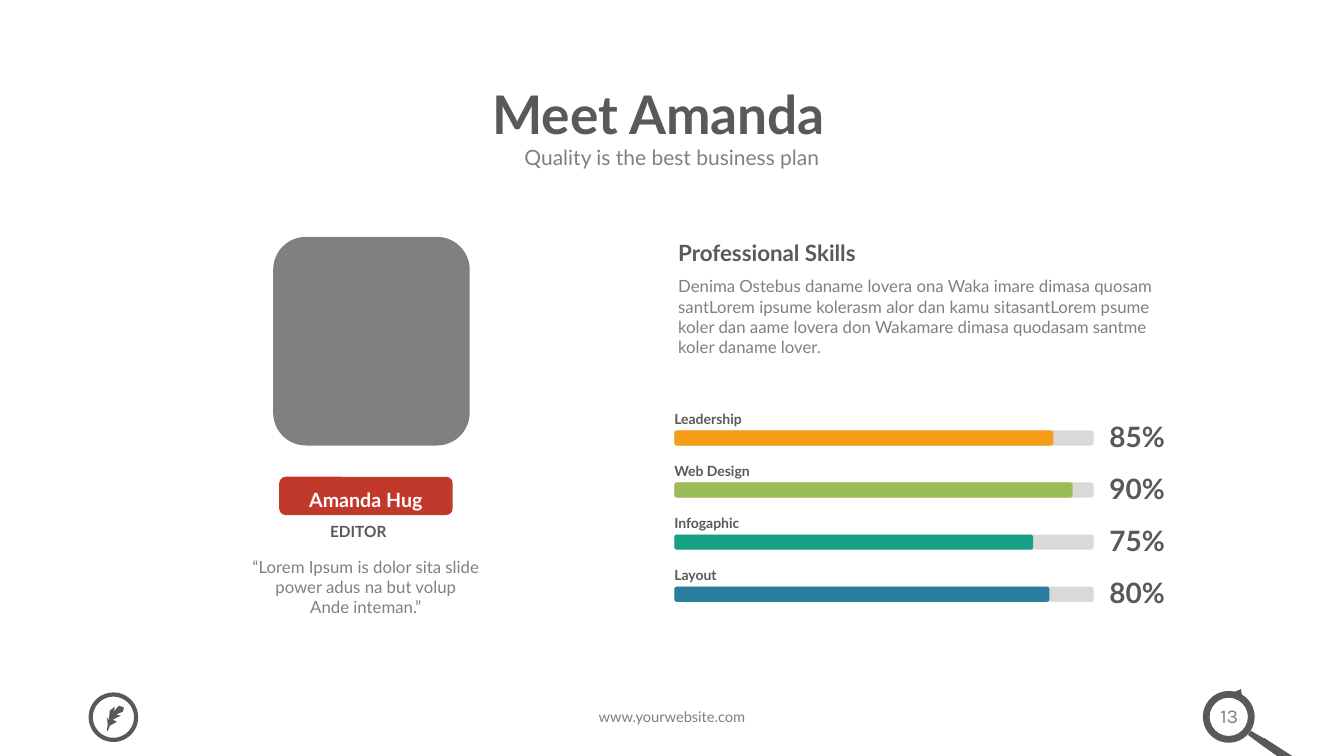
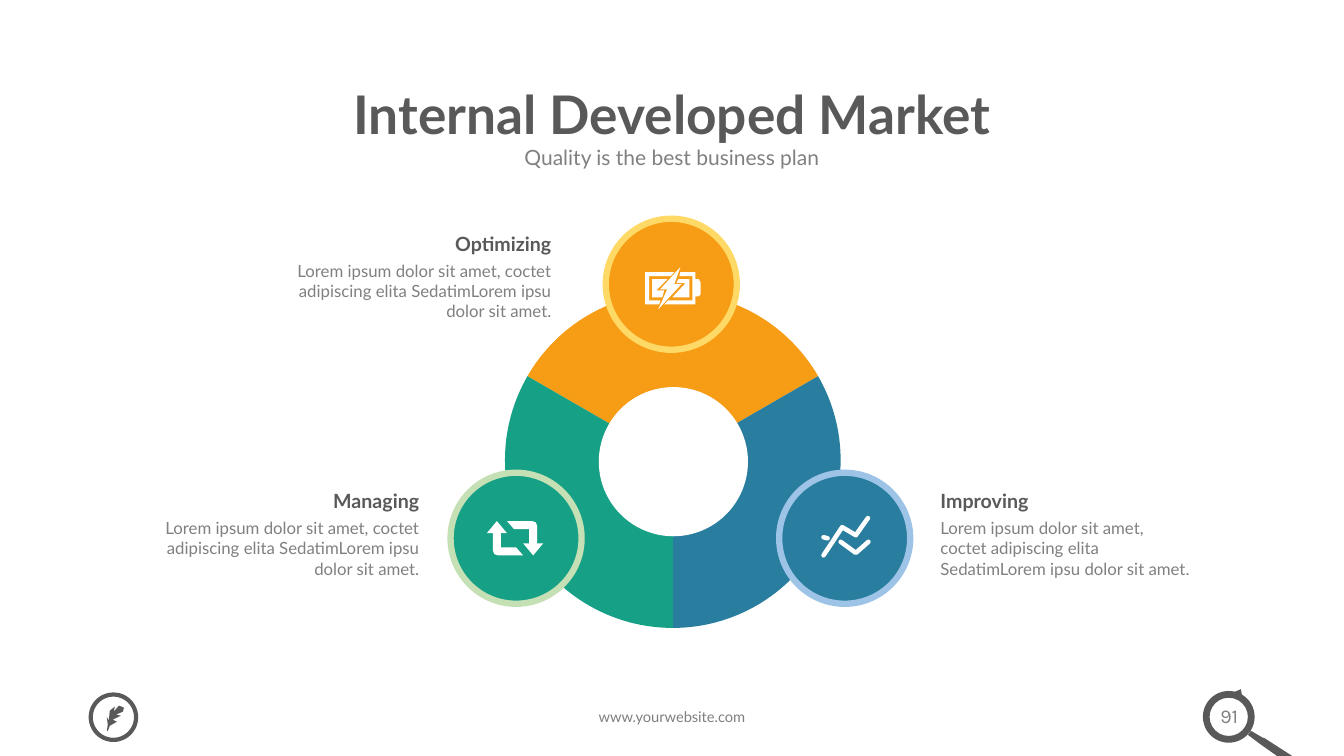
from pptx import Presentation
from pptx.dml.color import RGBColor
from pptx.enum.shapes import MSO_SHAPE as Preset
from pptx.enum.text import MSO_ANCHOR as Anchor, PP_ALIGN as Align
from pptx.util import Emu, Inches, Pt

COLUMNS, ROWS = 80, 45
SLIDE_WIDTH, SLIDE_HEIGHT = Inches(13.333), Inches(7.5)
CELL = SLIDE_HEIGHT / ROWS

DARK = RGBColor(0x59, 0x59, 0x59)
GRAY = RGBColor(0x80, 0x80, 0x80)
TRACK = RGBColor(0xD9, 0xD9, 0xD9)
WHITE = RGBColor(0xFF, 0xFF, 0xFF)
RED = RGBColor(0xC1, 0x39, 0x2B)
ORANGE = RGBColor(0xF6, 0x9C, 0x15)
LIME = RGBColor(0x9C, 0xBC, 0x58)
TEAL = RGBColor(0x16, 0xA0, 0x86)
BLUE = RGBColor(0x29, 0x7E, 0x9F)
PALE_YELLOW = RGBColor(0xFF, 0xD9, 0x66)
PALE_BLUE = RGBColor(0x9D, 0xC3, 0xE6)
PALE_GREEN = RGBColor(0xC5, 0xE0, 0xB4)

BODY_FONT, NUMBER_FONT = "Lato", "Karla"
NO_INSETS = (0, 0, 0, 0)
TEXT_INSETS = (0.1, 0.05, 0.1, 0.05)

FEATHER = [(6.42, 43.5), (6.54, 43.2), (6.96, 42.96), (6.72, 42.84),
           (7.2, 42.6), (6.9, 42.54), (7.32, 42.36), (7.38, 42.12),
           (7.08, 42), (6.78, 42.36), (6.84, 42.06), (6.54, 42.3),
           (6.48, 42.9), (6.36, 42.66), (6.42, 43.14), (6.36, 43.5)]
HANDLE = [(74.46, 43.5), (75.18, 43.92), (75.24, 43.92), (76.92, 45),
          (76.02, 45), (75, 44.28), (74.28, 43.74)]
BATTERY = [
    [(38.64, 17.88), (38.64, 16.44), (39.9, 16.44), (40.14, 16.2),
     (38.4, 16.2), (38.4, 18.12), (39.24, 18.12), (39.3, 17.88)],
    [(41.4, 16.62), (41.4, 16.2), (40.5, 16.2), (40.44, 16.44),
     (41.22, 16.44), (41.22, 17.88), (39.78, 17.88), (39.54, 18.12),
     (41.4, 18.12), (41.4, 17.64), (41.6, 17.64), (41.7, 17.52),
     (41.7, 16.8), (41.6, 16.62)],
    [(38.82, 16.62), (38.82, 17.7), (39.42, 17.7), (39.54, 17.28),
     (39.06, 17.28), (39.72, 16.62)],
    [(40.8, 16.86), (40.02, 17.7), (41.04, 17.7), (41.04, 16.62),
     (40.38, 16.62), (40.26, 16.86)],
    [(40.14, 16.92), (40.5, 15.9), (39.3, 17.22), (39.72, 17.22),
     (39.18, 18.42), (40.56, 16.92)],
]
DOWN_ARROW = [(31.98, 32.34), (31.98, 31.32), (31.9, 31.1), (31.68, 31.02),
              (30.18, 31.02), (30.6, 31.5), (31.5, 31.5), (31.5, 32.34),
              (31.14, 32.34), (31.74, 33.06), (32.34, 32.34)]
UP_ARROW = [(61.32 - x, 64.08 - y) for x, y in DOWN_ARROW]
TREND_LINES = [
    [(49.02, 33.06), (50.13, 31.38), (50.94, 31.86), (51.66, 30.84)],
    [(50.04, 32.25), (50.94, 32.91), (51.69, 32.25)],
    [(49.02, 31.98), (49.26, 32.04)],
]

SKILLS = [("Leadership", "85%", 22.56, ORANGE),
          ("Web Design", "90%", 23.7, LIME),
          ("Infogaphic", "75%", 21.36, TEAL),
          ("Layout", "80%", 22.32, BLUE)]
SKILL_LEFT, SKILL_TOP, SKILL_PITCH = 40.14, 24.42, 3.1
TRACK_WIDTH, TRACK_HEIGHT = 24.96, 0.9

SECTORS = [(210, 330, ORANGE), (330, 90, BLUE), (90, 210, TEAL)]
NODES = [(36.06, 13.02, ORANGE, PALE_YELLOW),
         (46.38, 28.14, BLUE, PALE_BLUE),
         (26.82, 28.14, TEAL, PALE_GREEN)]
NODE_SIZE = 7.8
NODE_BODY = ("Lorem ipsum dolor sit amet, coctet adipiscing elita "
             "SedatimLorem ipsu dolor sit amet.")
CAPTIONS = [("Optimizing", 17.4, 13.8, 15.42, Align.RIGHT),
            ("Improving", 55.98, 29.13, 14.9, Align.LEFT),
            ("Managing", 9.54, 29.13, 15.42, Align.RIGHT)]


def cells(*lengths):
    return [Emu(round(length * CELL)) for length in lengths]


def write(shape, text, size=12, color=GRAY, bold=False, align=Align.LEFT,
          anchor=Anchor.TOP, insets=TEXT_INSETS, spacing=1.0, font=BODY_FONT):
    frame = shape.text_frame
    frame.word_wrap = True
    frame.vertical_anchor = anchor
    (frame.margin_left, frame.margin_top,
     frame.margin_right, frame.margin_bottom) = map(Inches, insets)
    frame.text = text
    for paragraph in frame.paragraphs:
        paragraph.alignment = align
        paragraph.line_spacing = spacing
        paragraph.font.name = font
        paragraph.font.size = Pt(size)
        paragraph.font.bold = bold
        paragraph.font.color.rgb = color


def add_text(slide, box, text, **style):
    write(slide.shapes.add_textbox(*cells(*box)), text, **style)


def paint(shape, fill=None, line=None, line_width=1):
    shape.shadow.inherit = False
    if fill is None:
        shape.fill.background()
    else:
        shape.fill.solid()
        shape.fill.fore_color.rgb = fill
    if line is None:
        shape.line.fill.background()
    else:
        shape.line.color.rgb = line
        shape.line.width = Pt(line_width)


def add_preset(slide, preset, box, adjustments=(), rotation=0, **colors):
    shape = slide.shapes.add_shape(preset, *cells(*box))
    for index, value in enumerate(adjustments):
        shape.adjustments[index] = value
    shape.rotation = rotation
    paint(shape, **colors)
    return shape


def add_outline(slide, points, close=True, **colors):
    start, *others = [cells(*point) for point in points]
    builder = slide.shapes.build_freeform(*start)
    builder.add_line_segments(others, close=close)
    shape = builder.convert_to_shape()
    paint(shape, **colors)
    return shape


def add_frame(presentation, title, number, title_shift=0):
    slide = presentation.slides.add_slide(presentation.slide_layouts[6])
    add_text(slide, (10 + title_shift, 4.5, 60, 4.92), title, size=38,
             color=DARK, bold=True, align=Align.CENTER, anchor=Anchor.MIDDLE,
             spacing=0.9)
    add_text(slide, (16, 8.16, 48, 2.34), "Quality is the best business plan",
             size=15, align=Align.CENTER, insets=(0.13, 0.07, 0.13, 0.07))
    add_text(slide, (25.5, 41.82, 29, 1.74), "www.yourwebsite.com",
             size=10.5, align=Align.CENTER)
    add_preset(slide, Preset.DONUT, (71.6, 41.13, 3.08, 3.08), [0.13],
               fill=DARK)
    add_preset(slide, Preset.RIGHT_ARROW, (73.38, 40.98, 0.66, 0.66),
               [0.32, 0.64], rotation=298.7, fill=DARK)
    add_outline(slide, HANDLE, fill=DARK)
    add_text(slide, (71.34, 41.58, 3.66, 2.04), number, size=14,
             align=Align.CENTER, font=NUMBER_FONT)
    add_preset(slide, Preset.OVAL, (5.4, 41.34, 2.7, 2.7), line=DARK,
               line_width=3)
    add_outline(slide, FEATHER, fill=DARK)
    return slide


def add_skill(slide, top, label, percent, width, color):
    add_text(slide, (SKILL_LEFT, top, 6, 1.02), label, size=10, color=DARK,
             bold=True, anchor=Anchor.MIDDLE, insets=NO_INSETS)
    for bar_width, fill in ((TRACK_WIDTH, TRACK), (width, color)):
        add_preset(slide, Preset.ROUNDED_RECTANGLE,
                   (SKILL_LEFT, top + 1.2, bar_width, TRACK_HEIGHT), fill=fill)
    add_text(slide, (65.34, top + 0.78, 4.68, 2.16), percent, size=20,
             color=DARK, bold=True, align=Align.CENTER, spacing=0.7)


def add_profile(slide):
    add_preset(slide, Preset.ROUNDED_RECTANGLE, (16.26, 14.1, 11.7, 12.42),
               fill=GRAY)
    name = add_preset(slide, Preset.ROUNDED_RECTANGLE,
                      (16.62, 28.38, 10.32, 2.28), fill=RED)
    write(name, "Amanda Hug", size=14, color=WHITE, bold=True,
          align=Align.CENTER, anchor=Anchor.MIDDLE, insets=(0, 0.07, 0, 0))
    add_text(slide, (15.6, 30.24, 11.46, 2.28), "EDITOR", size=11, color=DARK,
             bold=True, align=Align.CENTER, anchor=Anchor.MIDDLE, spacing=1.5)
    add_text(slide, (14.16, 32.82, 15.24, 4.26),
             "“Lorem Ipsum is dolor sita slide power adus na but volup\n"
             "Ande inteman.”", align=Align.CENTER)


def build_profile_slide(presentation):
    slide = add_frame(presentation, "Meet Amanda", "13", title_shift=-0.8)
    add_profile(slide)
    add_text(slide, (39.78, 13.92, 15, 2.22), "Professional Skills", size=16,
             color=DARK, bold=True)
    add_text(slide, (39.78, 16.14, 29.82, 5.46),
             "Denima Ostebus daname lovera ona Waka imare dimasa quosam "
             "santLorem ipsume kolerasm alor dan kamu sitasantLorem psume "
             "koler dan aame lovera don Wakamare dimasa quodasam santme "
             "koler daname lover.")
    for index, skill in enumerate(SKILLS):
        add_skill(slide, SKILL_TOP + index * SKILL_PITCH, *skill)


def add_icons(slide):
    for outline in [*BATTERY, DOWN_ARROW, UP_ARROW]:
        add_outline(slide, outline, fill=WHITE)
    for points in TREND_LINES:
        stroke = add_outline(slide, points, close=False, line=WHITE,
                             line_width=3.25)
        stroke.line._get_or_add_ln().set("cap", "rnd")


def build_market_slide(presentation):
    slide = add_frame(presentation, "Internal Developed Market", "91")
    for start, end, color in SECTORS:
        add_preset(slide, Preset.PIE, (30.06, 17.4, 19.98, 19.98),
                   [start * 0.6, end * 0.6], fill=color)
    add_preset(slide, Preset.OVAL, (35.64, 23.04, 8.88, 8.88), fill=WHITE)
    for left, top, color, rim in NODES:
        add_preset(slide, Preset.OVAL, (left, top, NODE_SIZE, NODE_SIZE),
                   fill=color, line=rim, line_width=4.5)
    add_icons(slide)
    for heading, left, top, width, align in CAPTIONS:
        add_text(slide, (left, top, width, 1.44), heading, size=14,
                 color=DARK, bold=True, align=align, insets=NO_INSETS)
        add_text(slide, (left, top + 1.7, width, 3.66), NODE_BODY,
                 align=align, insets=NO_INSETS)


def main():
    presentation = Presentation()
    presentation.slide_width = SLIDE_WIDTH
    presentation.slide_height = SLIDE_HEIGHT
    build_profile_slide(presentation)
    build_market_slide(presentation)
    presentation.save("out.pptx")


if __name__ == "__main__":
    main()
